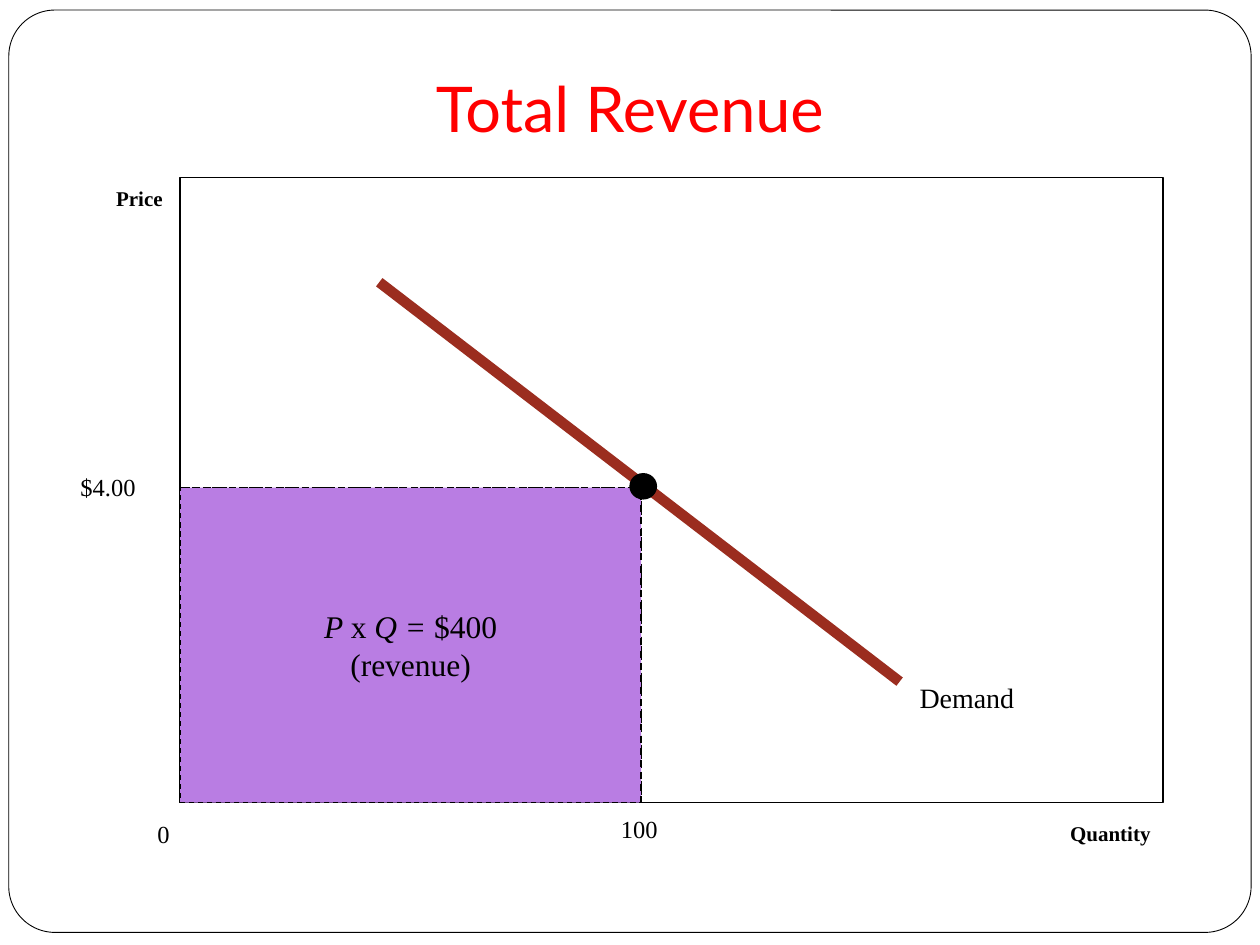
"""Build a slide showing total revenue as an area under a demand curve."""
from lxml.etree import SubElement
from pptx import Presentation
from pptx.dml.color import RGBColor
from pptx.enum.dml import MSO_LINE
from pptx.enum.shapes import MSO_CONNECTOR, MSO_SHAPE
from pptx.enum.text import MSO_ANCHOR, PP_ALIGN
from pptx.oxml.ns import qn
from pptx.util import Inches, Pt

COLORS = {"black": "000000", "white": "FFFFFF", "title": "FF0000",
          "demand": "9B2D1F", "revenue": "B97DE3"}
SERIF = "Times New Roman"
LEFT, TOP, WIDTH, HEIGHT = 1.43, 1.41, 7.8, 4.96
QTY_X, PRICE_Y = 5.09, 3.87

LABELS = [
    ("Price", (0.22, 1.42, 1.17, 0.3), 12, True, PP_ALIGN.RIGHT),
    ("Quantity", (7.09, 6.46, 2.14, 0.3), 12, True, PP_ALIGN.RIGHT),
    ("0", (1.15, 6.45, 0.36, 0.33), 14, False, PP_ALIGN.LEFT),
    ("100", (4.83, 6.41, 0.64, 0.33), 14, False, PP_ALIGN.LEFT),
    ("Demand", (7.2, 5.35, 1.24, 0.37), 16, False, PP_ALIGN.LEFT),
    ("$4.00", (0.54, 3.7, 0.89, 0.33), 14, False, PP_ALIGN.LEFT),
]
REVENUE = [
    [("P ", True), ("x ", False), ("Q = ", True), ("$400", False)],
    [("(revenue)", False)],
]


def rgb(name):
    return RGBColor.from_string(COLORS[name])


def style_run(r, size, font=SERIF, color="black", bold=False, italic=False):
    r.font.size, r.font.name = Pt(size), font
    r.font.bold, r.font.italic = bold, italic
    r.font.color.rgb = rgb(color)


def add_box(s, kind, box, fill, width=0.75):
    sp = s.shapes.add_shape(kind, *map(Inches, box))
    sp.shadow.inherit = False
    sp.fill.solid()
    sp.fill.fore_color.rgb = rgb(fill)
    sp.line.color.rgb = rgb("black")
    sp.line.width = Pt(width)
    return sp


def add_line(s, start, end, color, width, dash=None):
    ln = s.shapes.add_connector(MSO_CONNECTOR.STRAIGHT, *map(Inches, start + end))
    ln.line.color.rgb = rgb(color)
    ln.line.width = Pt(width)
    if dash:
        ln.line.dash_style = dash
    SubElement(ln._element.spPr, qn("a:effectLst"))


def add_text(s, text, box, size, bold=False, align=PP_ALIGN.LEFT, font=SERIF, color="black"):
    tf = s.shapes.add_textbox(*map(Inches, box)).text_frame
    tf.word_wrap = True
    tf.text = text
    p = tf.paragraphs[0]
    p.alignment = align
    style_run(p.runs[0], size, font, color, bold)
    return tf


def main():
    prs = Presentation()
    prs.slide_width, prs.slide_height = Inches(10), Inches(7.5)
    s = prs.slides.add_slide(prs.slide_layouts[6])

    frame = add_box(s, MSO_SHAPE.ROUNDED_RECTANGLE, (0.07, 0.08, 9.86, 7.32), "white", 0.5)
    frame.adjustments[0] = 0.05
    add_box(s, MSO_SHAPE.RECTANGLE, (LEFT, TOP, WIDTH, HEIGHT), "white")
    add_line(s, (3.01, 2.24), (7.14, 5.41), "demand", 6)

    bottom = TOP + HEIGHT
    area = add_box(s, MSO_SHAPE.RECTANGLE,
                   (LEFT, PRICE_Y, QTY_X - LEFT, bottom - PRICE_Y), "revenue")
    area.line.dash_style = MSO_LINE.DASH
    tf = area.text_frame
    tf.word_wrap = False
    tf.vertical_anchor = MSO_ANCHOR.MIDDLE
    for i, parts in enumerate(REVENUE):
        p = tf.add_paragraph() if i else tf.paragraphs[0]
        p.alignment = PP_ALIGN.CENTER
        for text, italic in parts:
            r = p.add_run()
            r.text = text
            style_run(r, 18, italic=italic)

    add_box(s, MSO_SHAPE.OVAL, (5, 3.76, 0.21, 0.2), "black")
    add_line(s, (LEFT, PRICE_Y), (QTY_X, PRICE_Y), "black", 1, MSO_LINE.DASH)
    add_line(s, (QTY_X, 3.91), (QTY_X, bottom), "black", 1, MSO_LINE.DASH)

    for label in LABELS:
        add_text(s, *label)
    title = add_text(s, "Total Revenue", (0.5, 0.3, 9, 0.95), 36,
                     align=PP_ALIGN.CENTER, font="Lato", color="title")
    title.vertical_anchor = MSO_ANCHOR.BOTTOM
    title.margin_bottom = Inches(0.1)

    prs.save("out.pptx")


if __name__ == "__main__":
    main()
